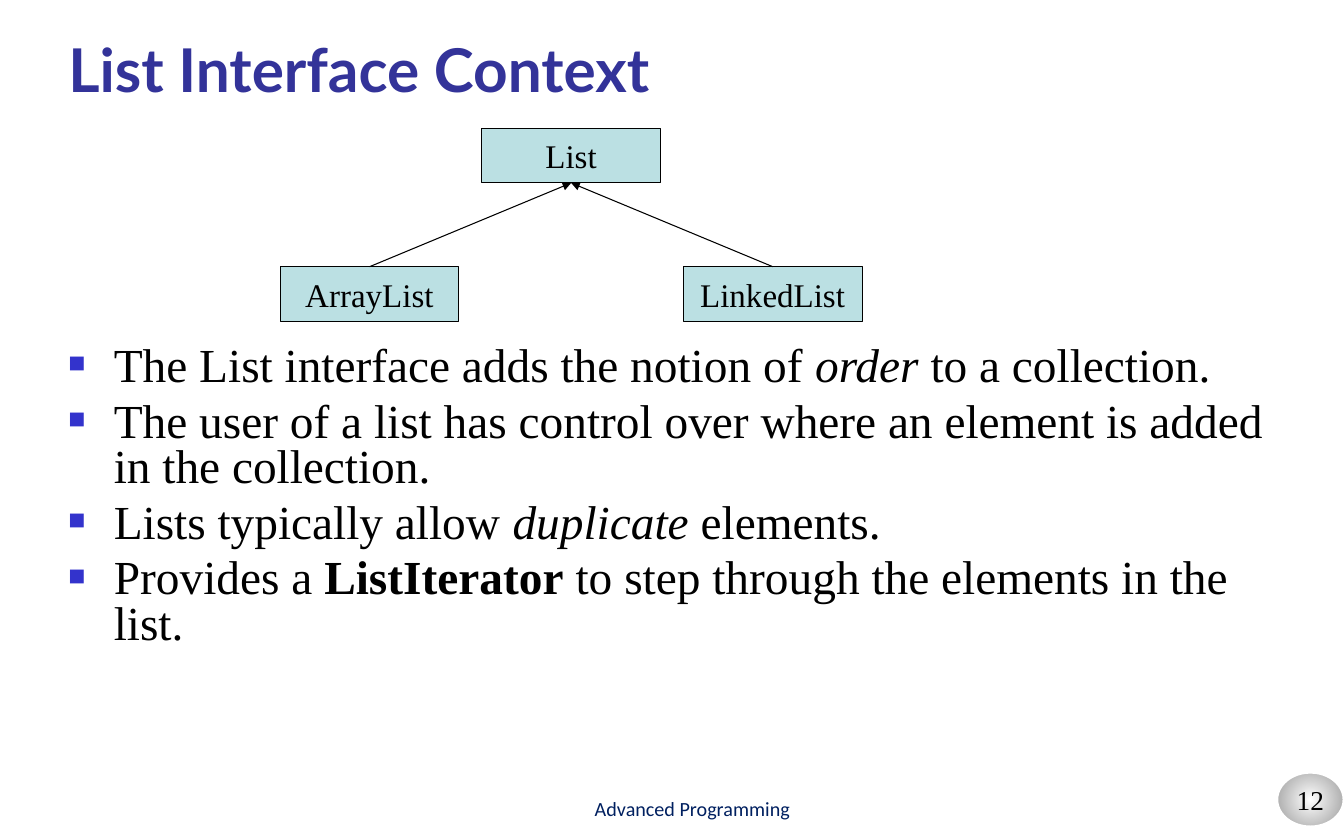
from lxml import etree
from pptx import Presentation
from pptx.dml.color import RGBColor
from pptx.enum.shapes import MSO_CONNECTOR, MSO_SHAPE
from pptx.enum.text import MSO_ANCHOR, PP_ALIGN
from pptx.oxml.ns import qn
from pptx.util import Inches, Pt

COLORS = {
    "title": "333399", "text": "000000", "footer": "002060", "bullet": "3333CC",
    "node": "BBE0E3", "line": "000000", "white": "FFFFFF", "badge_edge": "979797",
}
SERIF = "Times New Roman"
TOP, BOTTOM = 0, 2  # connection sites of a rectangle


def color(name):
    """Return the named colour."""
    return RGBColor.from_string(COLORS[name])


def add_xml(parent, tag, **attributes):
    """Append a DrawingML element and return it."""
    element = etree.SubElement(parent, qn(f"a:{tag}"))
    for key, value in attributes.items():
        element.set(key, str(value))
    return element


def add_run(paragraph, text, size, font=SERIF, fill="text", bold=False, italic=False):
    """Add one formatted run to a paragraph."""
    run = paragraph.add_run()
    run.text = text
    run.font.size, run.font.name = Pt(size), font
    run.font.bold, run.font.italic = bold, italic
    run.font.color.rgb = color(fill)


class SlideBuilder:
    """Holds the style and the current slide."""

    def __init__(self, slide):
        self.slide = slide

    def frame(self, shape, anchor, wrap=True):
        """Set the margins, anchor and wrapping of a shape's text."""
        frame = shape.text_frame
        frame.margin_left = frame.margin_right = Inches(0.12)
        frame.margin_top = frame.margin_bottom = Inches(0.06)
        frame.vertical_anchor, frame.word_wrap = anchor, wrap
        return frame

    def title(self, text, left, top, width, height):
        """Place and format the title placeholder."""
        title = self.slide.shapes.title
        title.left, title.top = Inches(left), Inches(top)
        title.width, title.height = Inches(width), Inches(height)
        paragraph = self.frame(title, MSO_ANCHOR.BOTTOM).paragraphs[0]
        paragraph.alignment = PP_ALIGN.LEFT
        add_run(paragraph, text, 42, font="Lato", fill="title", bold=True)

    def shape(self, kind, text, left, top, width, height, size, line="line", weight=0.75):
        """Add an outlined preset shape with a centred label."""
        shape = self.slide.shapes.add_shape(
            kind, Inches(left), Inches(top), Inches(width), Inches(height))
        shape.shadow.inherit = False
        shape.line.color.rgb, shape.line.width = color(line), Pt(weight)
        paragraph = self.frame(shape, MSO_ANCHOR.MIDDLE, wrap=False).paragraphs[0]
        paragraph.alignment = PP_ALIGN.CENTER
        add_run(paragraph, text, size)
        return shape

    def node(self, text, left, top):
        """Add one type box of the hierarchy."""
        node = self.shape(MSO_SHAPE.RECTANGLE, text, left, top, 1.73, 0.53, 23)
        node.fill.solid()
        node.fill.fore_color.rgb = color("node")
        return node

    def badge(self, text, left, top, width, height):
        """Add the page number on a radial gradient."""
        badge = self.shape(MSO_SHAPE.OVAL, text, left, top, width, height, 19, "white", 2)
        badge.fill.gradient()
        stops = zip(badge.fill.gradient_stops, (0, 1), ("white", "badge_edge"))
        for stop, position, name in stops:
            stop.position, stop.color.rgb = position, color(name)
        gradient = badge.element.spPr.find(qn("a:gradFill"))
        gradient.remove(gradient.find(qn("a:lin")))
        path = add_xml(gradient, "path", path="circle")
        add_xml(path, "fillToRect", l=50000, t=50000, r=50000, b=50000)

    def arrow(self, child, parent):
        """Connect a child's top to its parent's bottom."""
        arrow = self.slide.shapes.add_connector(MSO_CONNECTOR.STRAIGHT, 0, 0, 0, 0)
        arrow.begin_connect(child, TOP)
        arrow.end_connect(parent, BOTTOM)
        arrow.line.color.rgb, arrow.line.width = color("line"), Pt(0.75)
        add_xml(arrow.line._get_or_add_ln(), "tailEnd", type="triangle")
        add_xml(arrow.element.spPr, "effectLst")

    def textbox(self, left, top, width, height, anchor):
        """Add a wrapping text box and return its frame."""
        box = self.slide.shapes.add_textbox(
            Inches(left), Inches(top), Inches(width), Inches(height))
        return self.frame(box, anchor)

    def bullets(self, items, left, top, width, height):
        """Add a bulleted list whose items are (text, format) runs."""
        frame = self.textbox(left, top, width, height, MSO_ANCHOR.TOP)
        for index, runs in enumerate(items):
            paragraph = frame.add_paragraph() if index else frame.paragraphs[0]
            paragraph.line_spacing, paragraph.space_before = 0.8, Pt(7)
            properties = paragraph._p.get_or_add_pPr()
            properties.set("marL", str(Inches(0.44)))
            properties.set("indent", str(-Inches(0.44)))
            add_xml(add_xml(properties, "buClr"), "srgbClr", val=COLORS["bullet"])
            add_xml(properties, "buSzPct", val=60000)
            add_xml(properties, "buFont", typeface=SERIF)
            add_xml(properties, "buChar", char="■")
            for text, style in runs:
                add_run(paragraph, text, 33, **style)

    def footer(self, text, left, top, width, height):
        """Add the centred course name."""
        paragraph = self.textbox(left, top, width, height, MSO_ANCHOR.BOTTOM).paragraphs[0]
        paragraph.alignment = PP_ALIGN.CENTER
        add_run(paragraph, text, 14, font="Calibri", fill="footer")


PLAIN, BOLD, ITALIC = {}, {"bold": True}, {"italic": True}
LIST_FEATURES = [
    [("The List interface adds the notion of ", PLAIN), ("order", ITALIC),
     (" to a collection.", PLAIN)],
    [("The user of a list has control over where an element is added in the collection.",
      PLAIN)],
    [("Lists typically allow ", PLAIN), ("duplicate", ITALIC), (" elements.", PLAIN)],
    [("Provides a ", PLAIN), ("ListIterator", BOLD),
     (" to step through the elements in the list.", PLAIN)],
]


def main():
    """Build and save the slide."""
    presentation = Presentation()
    presentation.slide_width, presentation.slide_height = Inches(13), Inches(8)
    title_only = presentation.slide_layouts[5]
    builder = SlideBuilder(presentation.slides.add_slide(title_only))

    builder.badge("12", 12.35, 7.47, 0.65, 0.53)
    builder.title("List Interface Context", 0.54, 0.27, 11.92, 0.8)
    list_left, child_offset = 4.66, 1.95
    interface = builder.node("List", list_left, 1.24)
    for name, side in (("ArrayList", -1), ("LinkedList", 1)):
        implementation = builder.node(name, list_left + side * child_offset, 2.58)
        builder.arrow(implementation, interface)
    builder.bullets(LIST_FEATURES, 0.54, 3.29, 11.92, 3.38)
    builder.footer("Advanced Programming ", 4.66, 7.56, 4.12, 0.44)
    presentation.save("out.pptx")


main()
